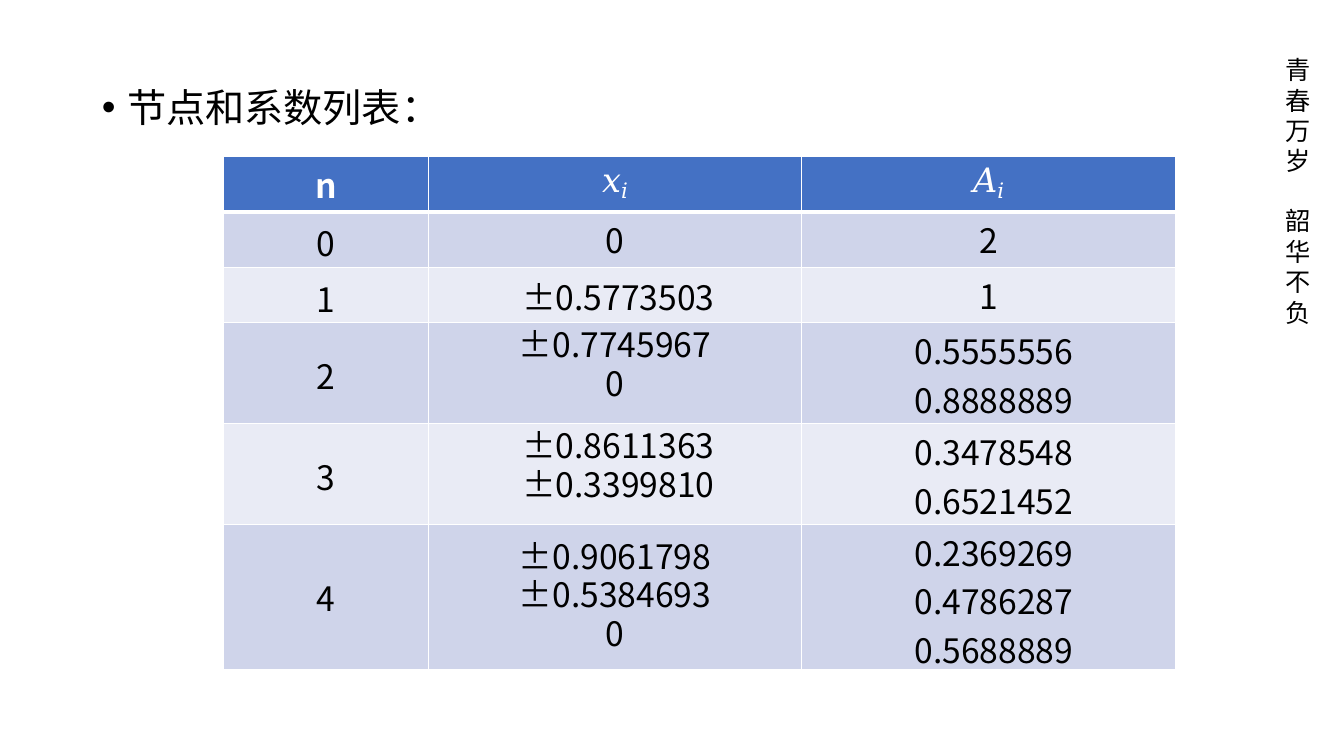
"""Slide with a table of quadrature nodes and coefficients."""
from lxml import etree
from pptx import Presentation
from pptx.dml.color import RGBColor
from pptx.enum.text import PP_ALIGN
from pptx.oxml.ns import qn
from pptx.util import Inches, Pt

CENTER, LEFT = PP_ALIGN.CENTER, PP_ALIGN.LEFT
SANS, MATH = "Noto Sans CJK SC", "Cambria"
WHITE, BLACK, BLUE = "FFFFFF", "000000", "4471C4"
BANDS = ["CFD4EA", "E9EBF5"]


def paint(target, color):
    target.rgb = RGBColor.from_string(color)


def style(font, size, color, face=SANS):
    font.size, font.name = Pt(size), face
    font.fill.solid()
    paint(font.fill.fore_color, color)
    east = etree.SubElement(font._element, qn("a:ea"))
    east.set("typeface", face)


prs = Presentation()
prs.slide_width, prs.slide_height = Inches(13.33), Inches(7.5)
slide = prs.slides.add_slide(prs.slide_layouts[6])

labels = [
    ("青 春 万 岁", 12.75, 0.53, 0.28, 1.23, 18, 21.7),
    ("韶 华 不 负", 12.75, 2.03, 0.28, 1.23, 18, 21.7),
    ("节点和系数列表：", 1, 0.8, 3.39, 0.49, 28, 35),
]
for text, left, top, width, height, size, pitch in labels:
    box = slide.shapes.add_textbox(
        Inches(left), Inches(top), Inches(width), Inches(height))
    frame = box.text_frame
    frame.word_wrap = True
    frame.margin_left = frame.margin_right = frame.margin_bottom = 0
    frame.margin_top = Inches(0.01)
    para = frame.paragraphs[0]
    para.text = text
    para.line_spacing = Pt(pitch)
    if size == 28:
        props = para._p.get_or_add_pPr()
        props.set("marL", str(Inches(0.26)))
        props.set("indent", str(-Inches(0.25)))
        etree.SubElement(props, qn("a:buFont")).set("typeface", "Arial")
        etree.SubElement(props, qn("a:buChar")).set("char", "•")
    style(para.font, size, BLACK)

rows = [
    ("n", "𝑥𝑖", "𝐴𝑖"),
    ("0", "0", "2"),
    ("1", "±0.5773503", "1"),
    ("2", "±0.7745967\n0", "0.5555556\n0.8888889"),
    ("3", "±0.8611363\n±0.3399810", "0.3478548\n0.6521452"),
    ("4", "±0.9061798\n±0.5384693\n0", "0.2369269\n0.4786287\n0.5688889"),
]
widths = [2.03, 3.7, 3.71]
heights = [0.55, 0.55, 0.55, 1, 1, 1.44]
tops = [
    (0.03, 0.03, 0.03),
    (0.06, 0.03, 0.03),
    (0.06, 0.04, 0.03),
    (0.28, 0.06, 0.03),
    (0.28, 0.06, 0.03),
    (0.48, 0.06, 0.03),
]
indents = {(2, 1): 0.93, (4, 1): 0.93, (3, 2): 1.12, (4, 2): 1.12, (5, 2): 1.12}

table = slide.shapes.add_table(
    len(rows), len(widths), Inches(2.22), Inches(1.55),
    Inches(sum(widths)), Inches(sum(heights))).table
table.first_row = table.horz_banding = False
for col, width in zip(table.columns, widths):
    col.width = Inches(width)
for row, height in zip(table.rows, heights):
    row.height = Inches(height)

for r, texts in enumerate(rows):
    for c, text in enumerate(texts):
        cell = table.cell(r, c)
        indent = indents.get((r, c), 0)
        cell.margin_left = Inches(indent)
        cell.margin_right = cell.margin_bottom = 0
        cell.margin_top = Inches(tops[r][c])
        props = cell._tc.get_or_add_tcPr()
        for side in "LRTB":
            thick = (r, side) in [(0, "B"), (1, "T")]
            line = etree.SubElement(props, qn("a:ln" + side))
            line.set("w", str(Pt(3 if thick else 1)))
            fill = etree.SubElement(line, qn("a:solidFill"))
            etree.SubElement(fill, qn("a:srgbClr")).set("val", WHITE)
        cell.fill.solid()
        paint(cell.fill.fore_color, BANDS[(r - 1) % 2] if r else BLUE)

        frame = cell.text_frame
        if r == 0 and c:
            para = frame.paragraphs[0]
            para.alignment = CENTER
            for sign, size in zip(text, (24, 26.2)):
                run = para.add_run()
                run.text = sign
                style(run.font, size, WHITE, MATH)
                run.font.bold = False
            run.font._element.set("baseline", "-16000")
            continue
        frame.text = text
        for i, para in enumerate(frame.paragraphs):
            para.alignment = LEFT if indent else CENTER
            if c == 1 and (r in (3, 4) or i):
                para.line_spacing = Pt(27.6 if r == 5 else 27.9)
            style(para.font, 24, BLACK if r else WHITE)
            para.font.bold = r == 0

prs.save("out.pptx")
